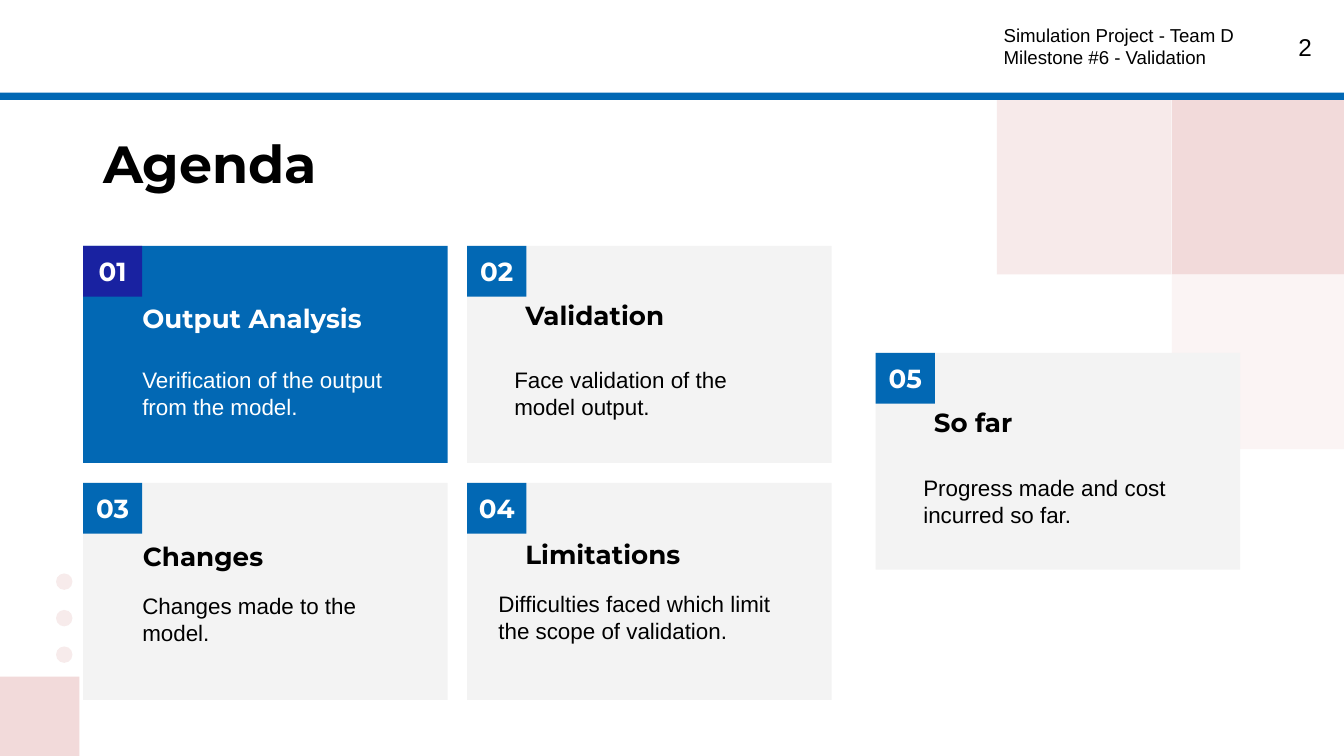
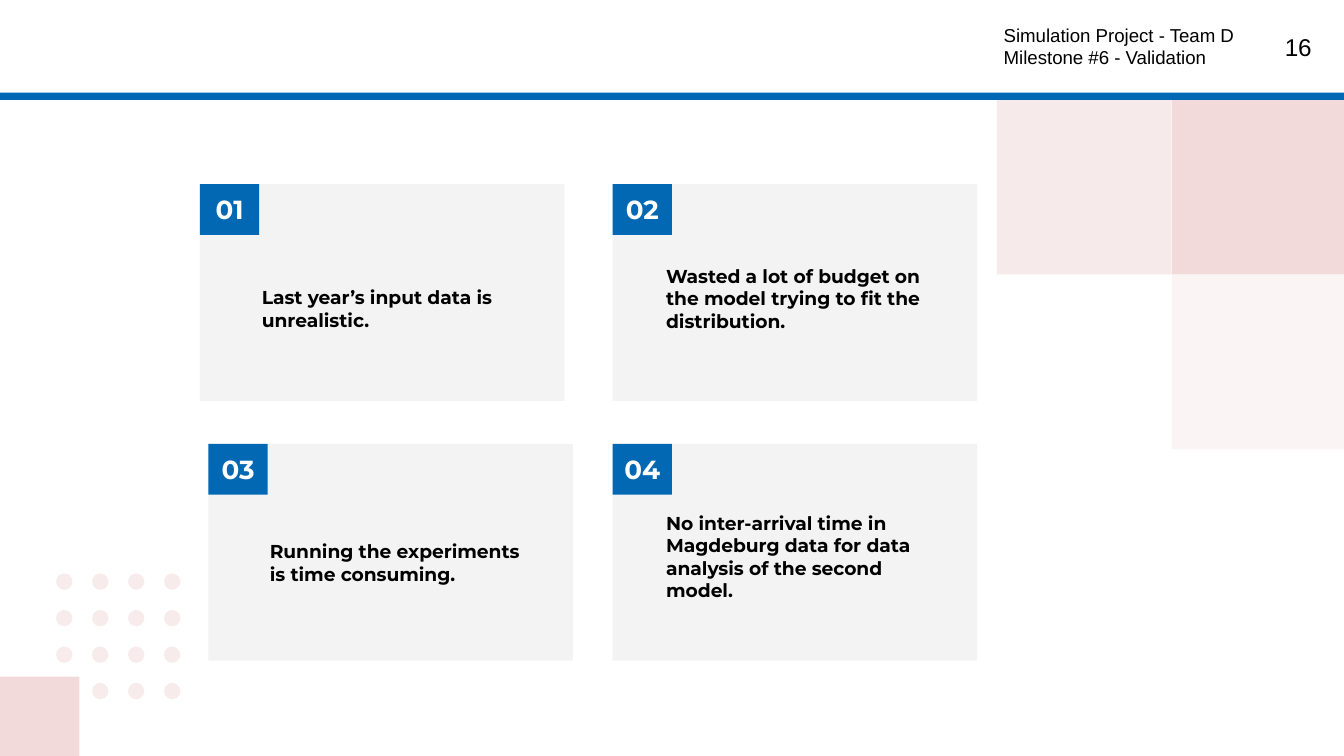
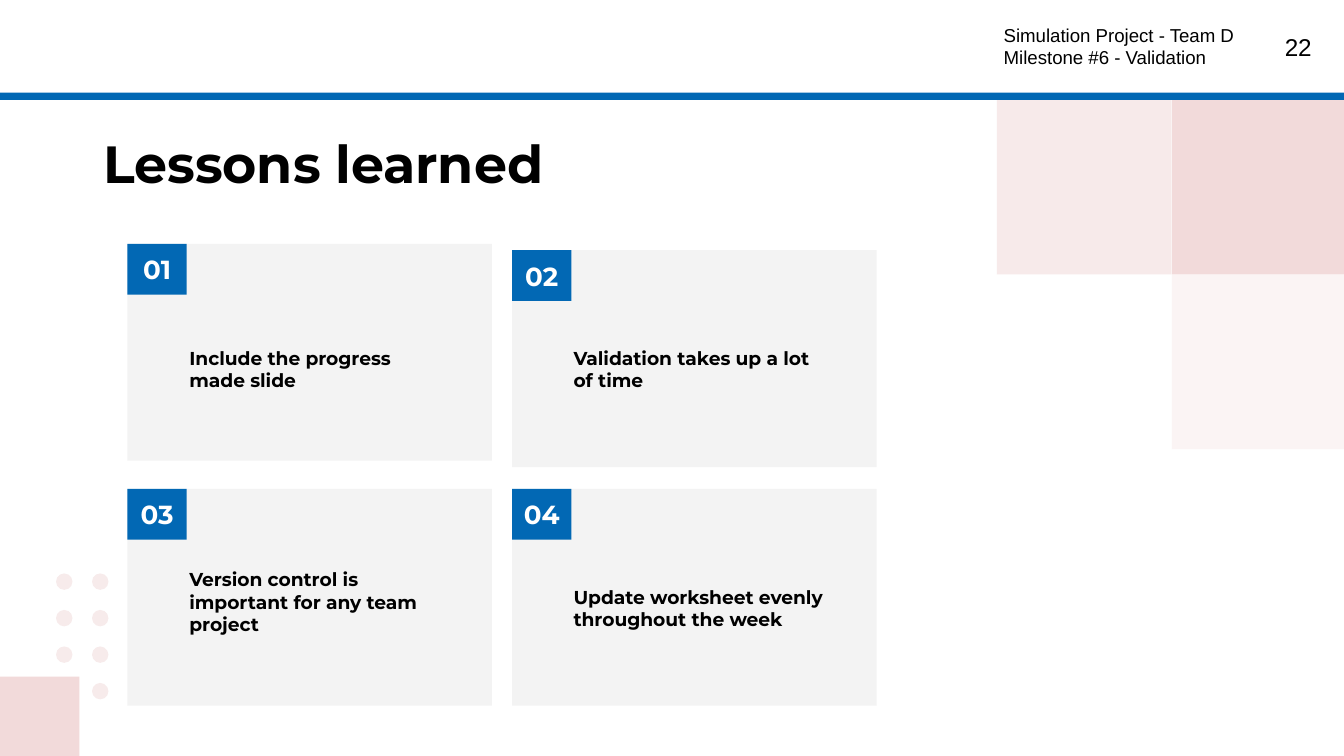
from lxml import etree
from pptx import Presentation
from pptx.dml.color import RGBColor
from pptx.enum.shapes import MSO_SHAPE
from pptx.enum.text import MSO_ANCHOR, PP_ALIGN
from pptx.oxml.ns import qn
from pptx.util import Cm, Pt

RECT, OVAL = MSO_SHAPE.RECTANGLE, MSO_SHAPE.OVAL
TOP, MIDDLE = MSO_ANCHOR.TOP, MSO_ANCHOR.MIDDLE
LEFT, CENTER, RIGHT = PP_ALIGN.LEFT, PP_ALIGN.CENTER, PP_ALIGN.RIGHT


class Theme:
    black, white = "000000", "FFFFFF"
    blue, indigo = "0268B4", "1922A1"
    card, pink, dot = "F3F3F3", "F2DADA", "F7EBEB"
    # name: (font, size, bold, alignment, space after)
    styles = {
        "title": ("Montserrat", 28, True, LEFT, 0),
        "number": ("Arial", 13, False, RIGHT, 0),
        "header": ("Arial", 10, False, LEFT, 0),
        "badge": ("Montserrat", 14, True, CENTER, 0),
        "heading": ("Montserrat", 14, True, LEFT, 8),
        "body": ("Arial", 12, False, LEFT, 8),
        "point": ("Montserrat", 10, True, LEFT, 8),
    }


def add_block(shapes, kind, box, color, alpha=100):
    """Add a flat preset shape; box is left, top, width, height in cm."""
    sp = shapes.add_shape(kind, *map(Cm, box))
    sp.shadow.inherit = False
    sp.line.fill.background()
    sp.fill.solid()
    sp.fill.fore_color.rgb = RGBColor.from_string(color)
    if alpha < 100:
        clr = sp.element.spPr.find(".//" + qn("a:srgbClr"))
        etree.SubElement(clr, qn("a:alpha"), val=str(alpha * 1000))
    return sp


def write(sp, text, style, color=Theme.black, side=0.25, anchor=TOP):
    """Fill a shape with one paragraph per line of text."""
    font, size, bold, align, after = Theme.styles[style]
    tf = sp.text_frame
    frame = {"word_wrap": True, "vertical_anchor": anchor,
             "margin_left": Cm(side), "margin_right": Cm(side),
             "margin_top": Cm(0.25), "margin_bottom": Cm(0.25)}
    for name, value in frame.items():
        setattr(tf, name, value)
    for i, line in enumerate(text.split("\n")):
        p = tf.add_paragraph() if i else tf.paragraphs[0]
        p.alignment = align
        p.space_after = Pt(after)
        r = p.add_run()
        r.text = line
        for name, value in {"name": font, "size": Pt(size), "bold": bold}.items():
            setattr(r.font, name, value)
        r.font.color.rgb = RGBColor.from_string(color)


CARD_W, CARD_H = 6.89, 4.1
BADGE_W, BADGE_H = 1.12, 0.96
DOT_SIZE, DOT_STEP = 0.31, 0.68
HEADER = "Simulation Project - Team D\nMilestone #6 - Validation"

BACKDROP = [
    ((0, 12.79, 1.5, 1.5), Theme.pink, 100),
    ((22.15, 1.89, 3.3, 3.3), Theme.pink, 100),
    ((22.15, 5.19, 3.3, 3.3), Theme.pink, 28),
    ((18.84, 1.89, 3.3, 3.3), Theme.pink, 55),
    ((0, 0, 25.4, 1.75), Theme.white, 100),
    ((0, 1.75, 25.4, 0.14), Theme.blue, 100),
]

# Each card: left, top, then its texts as (style, box, text)
AGENDA = [
    (1.57, 4.65, [("heading", (2.44, 5.46, 5.16, 0.97), "Output Analysis"),
                  ("body", (2.44, 6.68, 5.56, 1.4),
                   "Verification of the output from the model.")]),
    (8.83, 4.65, [("heading", (9.68, 5.41, 5.16, 1.07), "Validation"),
                  ("body", (9.47, 6.68, 5.56, 1.4),
                   "Face validation of the model output.")]),
    (1.57, 9.13, [("heading", (2.45, 9.96, 5.16, 0.97), "Changes"),
                  ("body", (2.44, 10.95, 5.56, 1.6), "Changes made to the model.")]),
    (8.83, 9.13, [("heading", (9.68, 9.93, 5.16, 1.02), "Limitations"),
                  ("body", (9.17, 10.9, 6.17, 1.6),
                   "Difficulties faced which limit the scope of validation.")]),
    (16.55, 6.67, [("heading", (17.4, 7.44, 5.16, 1.07), "So far"),
                   ("body", (17.2, 8.71, 5.56, 1.4),
                    "Progress made and cost incurred so far.")]),
]
PROBLEMS = [
    (3.78, 3.48, [("point", (4.7, 5.16, 5.36, 1.32),
                   "Last year’s input data is unrealistic.")]),
    (11.58, 3.48, [("point", (12.34, 4.75, 5.36, 1.6),
                    "Wasted a lot of budget on the model trying to fit the distribution.")]),
    (3.94, 8.39, [("point", (4.85, 9.96, 5.36, 1.6),
                   "Running the experiments is time consuming.")]),
    (11.58, 8.39, [("point", (12.34, 9.42, 5.36, 2.03),
                    "No inter-arrival time in Magdeburg data for data analysis "
                    "of the second model.")]),
]
LESSONS = [
    (2.41, 4.61, [("point", (3.33, 6.3, 5.36, 1.32), "Include the progress made slide")]),
    (9.68, 4.73, [("point", (10.59, 6.3, 5.36, 1.32),
                   "Validation takes up a lot of time")]),
    (2.41, 9.24, [("point", (3.33, 10.49, 5.36, 1.6),
                   "Version control is important for any team project")]),
    (9.68, 9.24, [("point", (10.59, 10.82, 5.36, 1.6),
                   "Update worksheet evenly throughout the week")]),
]

# Page number, title, visible dot columns, highlighted card, cards
SLIDES = [
    (2, "Agenda", 1, 1, AGENDA),
    (16, "", 4, None, PROBLEMS),
    (22, "Lessons learned", 2, None, LESSONS),
]

prs = Presentation()
prs.slide_width, prs.slide_height = Cm(25.4), Cm(14.29)

for page, title, dot_columns, highlight, cards in SLIDES:
    s = prs.slides.add_slide(prs.slide_layouts[6])

    dots = s.shapes.add_group_shape()
    for row in range(4):
        for col in range(dot_columns):
            if (row, col) != (3, 0):  # the corner square takes this place
                add_block(dots.shapes, OVAL,
                          (1.06 + col * DOT_STEP, 10.84 + row * 0.69,
                           DOT_SIZE, DOT_SIZE), Theme.dot)
    for box, color, alpha in BACKDROP:
        add_block(s.shapes, RECT, box, color, alpha)

    labels = [("number", (23.52, 0.36, 1.52, 1.09), str(page)),
              ("header", (18.72, 0.2, 5.28, 1.32), HEADER)]
    if title:
        labels.insert(0, ("title", (1.7, 2.23, 21.44, 1.6), title))
    for style, box, text in labels:
        write(s.shapes.add_textbox(*map(Cm, box)), text, style)

    for n, (x, y, texts) in enumerate(cards, 1):
        lit = n == highlight
        add_block(s.shapes, RECT, (x, y, CARD_W, CARD_H),
                  Theme.blue if lit else Theme.card)
        badge = add_block(s.shapes, RECT, (x, y, BADGE_W, BADGE_H),
                          Theme.indigo if lit else Theme.blue)
        write(badge, f"{n:02}", "badge", Theme.white, side=0, anchor=MIDDLE)
        for style, box, text in texts:
            write(s.shapes.add_textbox(*map(Cm, box)), text, style,
                  Theme.white if lit else Theme.black)

prs.save("out.pptx")
